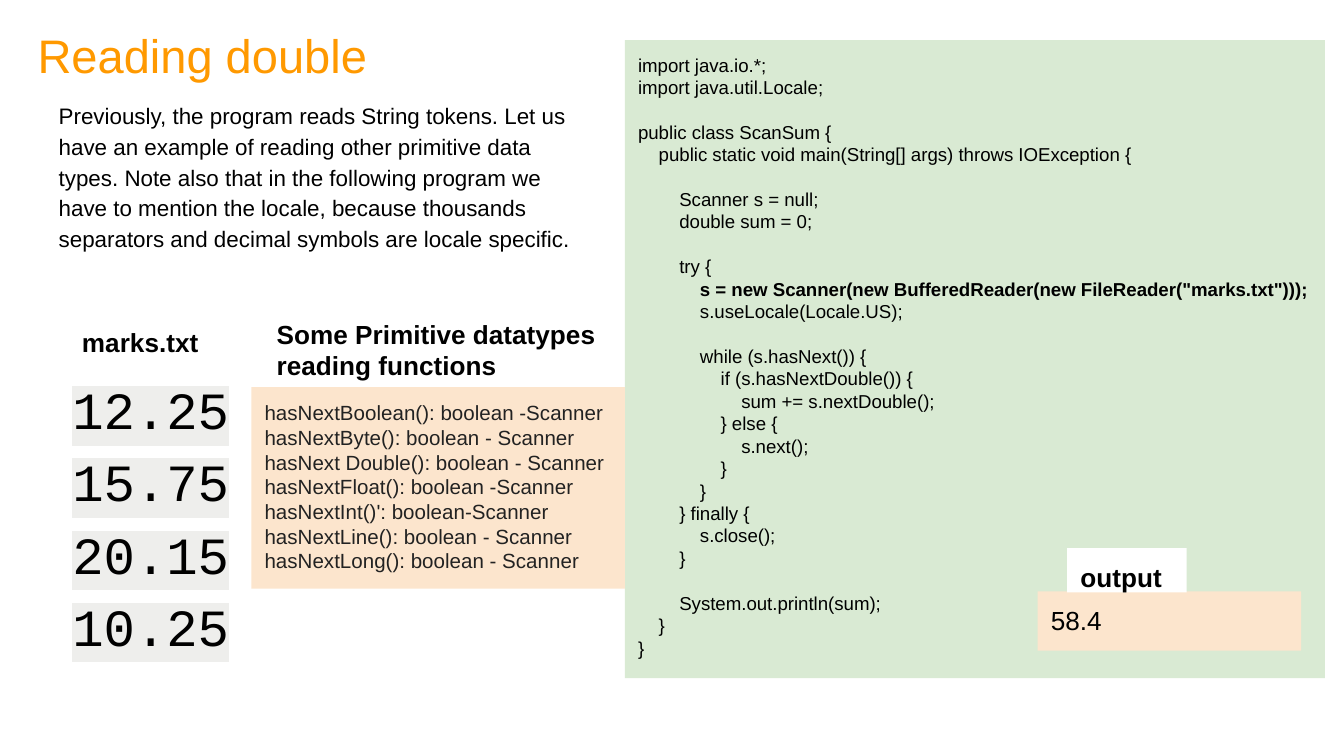
import pptx
import pptx.dml.color
import pptx.enum.shapes
import pptx.enum.text
import pptx.oxml.ns
import pptx.util
from lxml import etree
from pptx.util import Cm

BLACK = "000000"
PEACH = "FCE5CD"
INDENT_STEP = 0.39

INTRO = (
    "Previously, the program reads String tokens. Let us have an example of reading "
    "other primitive data types. Note also that in the following program we have to "
    "mention the locale, because thousands separators and decimal symbols are locale specific."
)
MARKS = ["12.25", "15.75", "20.15", "10.25"]
READERS = [
    "hasNextBoolean(): boolean -Scanner",
    "hasNextByte(): boolean - Scanner",
    "hasNext Double(): boolean - Scanner hasNextFloat(): boolean -Scanner "
    "hasNextInt()': boolean-Scanner hasNextLine(): boolean - Scanner",
    "hasNextLong(): boolean - Scanner",
]
OPENING_LINE = 's = new Scanner(new BufferedReader(new FileReader("marks.txt")));'
CODE = f"""import java.io.*;
import java.util.Locale;

public class ScanSum {{
    public static void main(String[] args) throws IOException {{

        Scanner s = null;
        double sum = 0;

        try {{
            {OPENING_LINE}
            s.useLocale(Locale.US);

            while (s.hasNext()) {{
                if (s.hasNextDouble()) {{
                    sum += s.nextDouble();
                }} else {{
                    s.next();
                }}
            }}
        }} finally {{
            s.close();
        }}

        System.out.println(sum);
    }}
}}"""


def color(hex_code):
    return pptx.dml.color.RGBColor.from_string(hex_code)


def indent(paragraph, distance):
    properties = paragraph._p.get_or_add_pPr()
    properties.set("marL", str(Cm(distance)))
    properties.set("indent", "0")


def highlight(run, hex_code):
    qn = pptx.oxml.ns.qn
    marker = etree.Element(qn("a:highlight"))
    etree.SubElement(marker, qn("a:srgbClr")).set("val", hex_code)
    run._r.rPr.find(qn("a:solidFill")).addnext(marker)


def add_text(slide, box, lines, size, ink=BLACK, font="Arial", bold=False, fill=None):
    place = [Cm(length) for length in box]
    if fill:
        holder = slide.shapes.add_shape(pptx.enum.shapes.MSO_SHAPE.RECTANGLE, *place)
        holder.shadow.inherit = False
        holder.fill.solid()
        holder.fill.fore_color.rgb = color(fill)
        holder.line.fill.background()
    else:
        holder = slide.shapes.add_textbox(*place)
    frame = holder.text_frame
    frame.word_wrap = True
    frame.vertical_anchor = pptx.enum.text.MSO_ANCHOR.TOP
    frame.margin_left = frame.margin_right = Cm(0.25)
    frame.margin_top = frame.margin_bottom = Cm(0.25)
    frame.text = "\n".join(lines)
    for paragraph in frame.paragraphs:
        paragraph.alignment = pptx.enum.text.PP_ALIGN.LEFT
        for run in paragraph.runs:
            run.font.name = font
            run.font.size = pptx.util.Pt(size)
            run.font.bold = bold
            run.font.color.rgb = color(ink)
    return frame.paragraphs


def add_intro(slide, box):
    left, top, width, height = box
    add_text(slide, (left, top, 9.22, 1.6), ["Reading double"], 25.2, "FF9900")
    [intro] = add_text(slide, (left + 0.4, top + 1.35, width - 0.4, height - 1.35), [INTRO], 12)
    intro.line_spacing = 1.15
    intro.space_after = pptx.util.Pt(12)


def add_marks(slide, box):
    left, top, width, height = box
    add_text(slide, (left + 0.26, top, 3.81, 1.02), ["marks.txt"], 14, bold=True)
    marks = add_text(slide, (left, top + 0.79, width, height - 0.79), MARKS, 28, font="Courier New")
    for mark in marks:
        mark.line_spacing = 1.15
        indent(mark, 0.08)
        highlight(mark.runs[0], "EEEEEC")


def add_readers(slide, box):
    left, top, width, height = box
    heading = ["Some Primitive datatypes reading functions"]
    add_text(slide, (left + 0.23, top, width - 0.25, 1.02), heading, 14, bold=True)
    add_text(slide, (left, top + 1.55, width, height - 1.55), READERS, 11, "222222", fill=PEACH)


def add_code(slide, box):
    source = CODE.split("\n")
    shown = [line for line in source if line]
    after_gap = {line for gap, line in zip(source, source[1:]) if not gap}
    statements = add_text(slide, box, [line.strip() for line in shown], 10, fill="D9EAD3")
    for statement, line in zip(statements, shown):
        depth = (len(line) - len(line.lstrip())) // 4
        indent(statement, depth * INDENT_STEP)
        if line in after_gap:
            statement.space_before = pptx.util.Pt(12)
        if statement.text == OPENING_LINE:
            statement.runs[0].font.bold = True


def add_output(slide, box):
    left, top, width, height = box
    add_text(slide, (left, top + 0.82, width, height - 0.82), ["58.4"], 14, fill=PEACH)
    add_text(slide, (left + 0.56, top, 2.26, 0.84), ["output"], 14, bold=True, fill="FFFFFF")


def main():
    deck = pptx.Presentation()
    deck.slide_width, deck.slide_height = Cm(25.4), Cm(14.29)
    slide = deck.slides.add_slide(deck.slide_layouts[6])
    add_intro(slide, (0.46, 0.25, 10.59, 12.45))
    add_code(slide, (11.81, 0.76, 13.23, 12.06))
    add_marks(slide, (1.04, 5.92, 8.33, 6.63))
    add_readers(slide, (4.75, 5.77, 7.06, 5.36))
    add_output(slide, (19.61, 10.36, 4.98, 1.94))
    deck.save("out.pptx")


if __name__ == "__main__":
    main()
